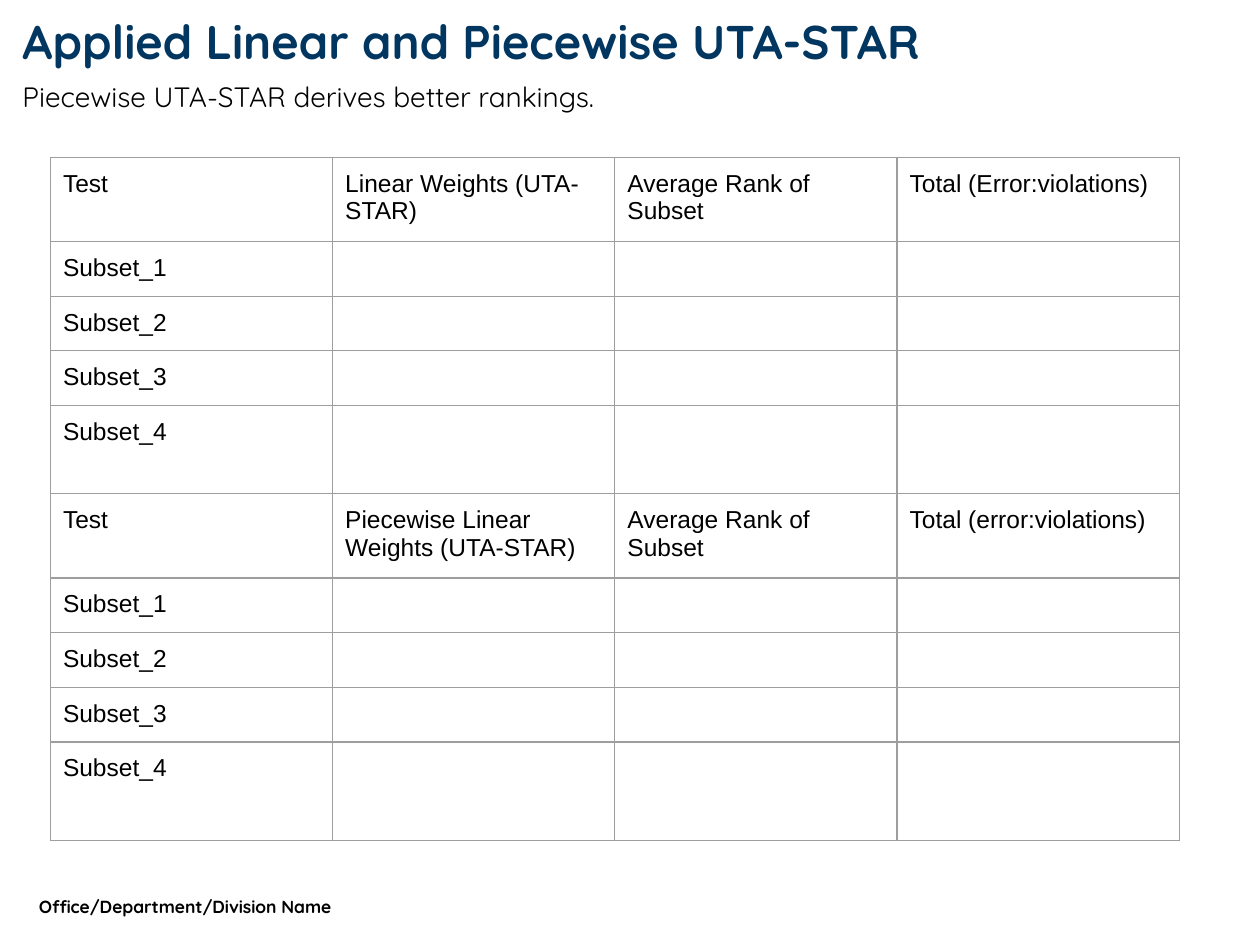
from lxml import etree
from pptx import Presentation
from pptx.dml.color import RGBColor
from pptx.oxml.ns import qn
from pptx.util import Inches, Pt

NAVY = RGBColor(0x00, 0x36, 0x60)
BLACK = RGBColor(0x00, 0x00, 0x00)
BORDER_GREY = RGBColor(0x9E, 0x9E, 0x9E)

# text, (left, top, width, height), size, colour, bold, line spacing
TEXTS = [
    ("Office/Department/Division Name", (0.21, 7.06, 4.82, 0.27), 10, BLACK, True, 1.0),
    ("Applied Linear and Piecewise UTA-STAR", (0.08, 0.1, 9.11, 0.92), 27, NAVY, True, 0.9),
    ("Piecewise UTA-STAR derives better rankings.", (0.08, 0.61, 9.61, 0.51), 16, BLACK, False, 0.9),
]

SUBSETS = ["Subset_1", "Subset_2", "Subset_3", "Subset_4"]
# top, row heights, header; rows grow to fit their text
TABLES = [
    (3.92, [0.46, 0.4, 0.4, 0.4, 0.78],
     ["Test", "Piecewise Linear Weights (UTA-STAR)", "Average Rank of Subset",
      "Total (error:violations)"]),
    (1.25, [0.44, 0.34, 0.34, 0.34, 0.7],
     ["Test", "Linear Weights (UTA-STAR)", "Average Rank of Subset",
      "Total (Error:violations)"]),
]
TABLE_LEFT = 0.4
COLUMN_WIDTH = 2.24
CELL_MARGIN = Inches(0.1)
CELL_SIZE = Pt(14)


def style_run(run, name, size, colour, bold=False):
    run.font.name = name
    run.font.size = size
    run.font.bold = bold
    run.font.color.rgb = colour


def add_text(slide, text, box, size, colour, bold, line_spacing):
    text_frame = slide.shapes.add_textbox(*map(Inches, box)).text_frame
    text_frame.word_wrap = True
    text_frame.text = text
    paragraph = text_frame.paragraphs[0]
    paragraph.line_spacing = line_spacing
    style_run(paragraph.runs[0], "Quicksand", Pt(size), colour, bold)


def add_borders(cell):
    properties = cell._tc.get_or_add_tcPr()
    for side in ("a:lnL", "a:lnR", "a:lnT", "a:lnB"):
        line = etree.SubElement(properties, qn(side), w=str(Pt(0.75)))
        fill = etree.SubElement(line, qn("a:solidFill"))
        etree.SubElement(fill, qn("a:srgbClr"), val=str(BORDER_GREY))


def fill_cell(cell, text):
    add_borders(cell)
    cell.fill.background()
    cell.margin_left = cell.margin_right = CELL_MARGIN
    cell.margin_top = cell.margin_bottom = CELL_MARGIN
    paragraph = cell.text_frame.paragraphs[0]
    if text:
        paragraph.text = text
        style_run(paragraph.runs[0], "Arial", CELL_SIZE, BLACK)
    else:  # keeps an empty cell from stretching its row
        etree.SubElement(paragraph._p, qn("a:endParaRPr"), sz="1400")


def add_weights_table(slide, top, row_heights, header):
    rows = [header] + [[subset] + [""] * (len(header) - 1) for subset in SUBSETS]
    table = slide.shapes.add_table(
        len(rows), len(header), Inches(TABLE_LEFT), Inches(top),
        Inches(COLUMN_WIDTH * len(header)), Inches(sum(row_heights))).table
    table.first_row = False
    table.horz_banding = False
    for column in table.columns:
        column.width = Inches(COLUMN_WIDTH)
    for row, height, texts in zip(table.rows, row_heights, rows):
        row.height = Inches(height)
        for cell, text in zip(row.cells, texts):
            fill_cell(cell, text)


def main():
    presentation = Presentation()
    presentation.slide_width = Inches(10)
    presentation.slide_height = Inches(7.5)
    slide = presentation.slides.add_slide(presentation.slide_layouts[6])
    for text in TEXTS:
        add_text(slide, *text)
    for table in TABLES:
        add_weights_table(slide, *table)
    presentation.save("out.pptx")


if __name__ == "__main__":
    main()
